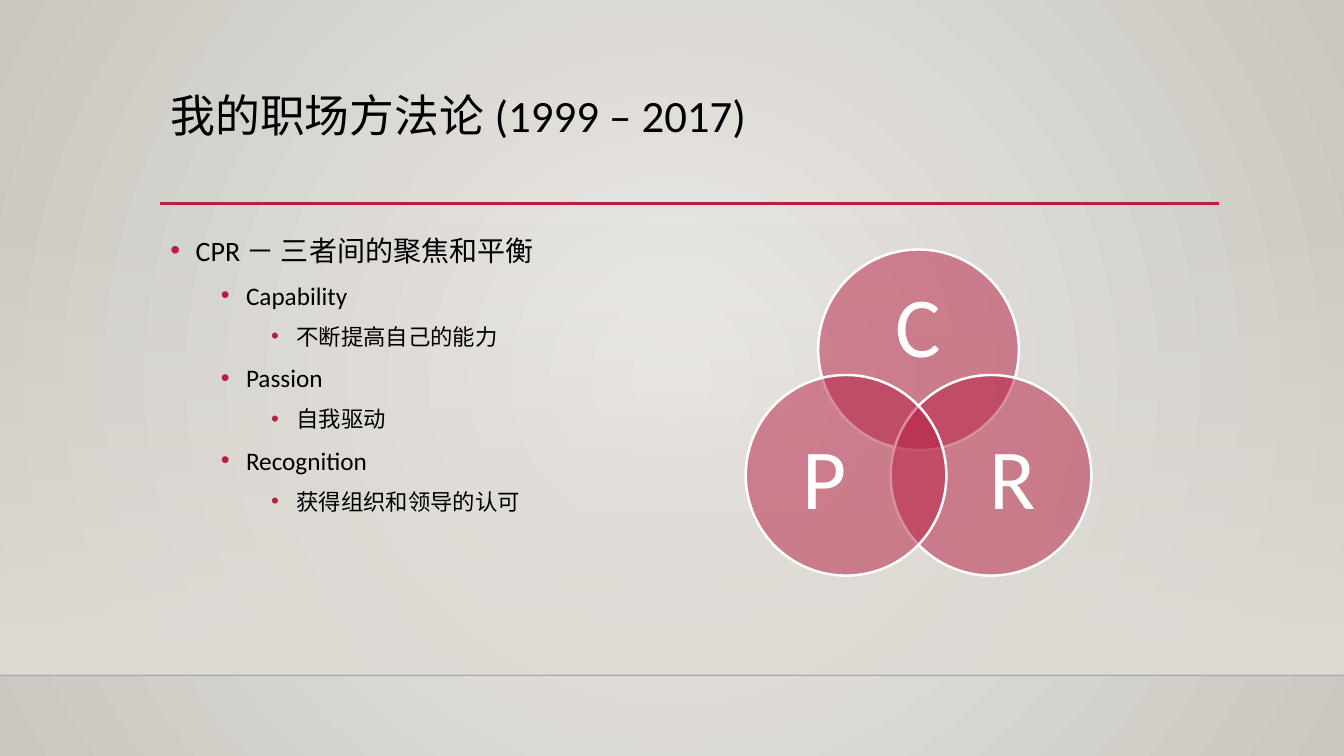
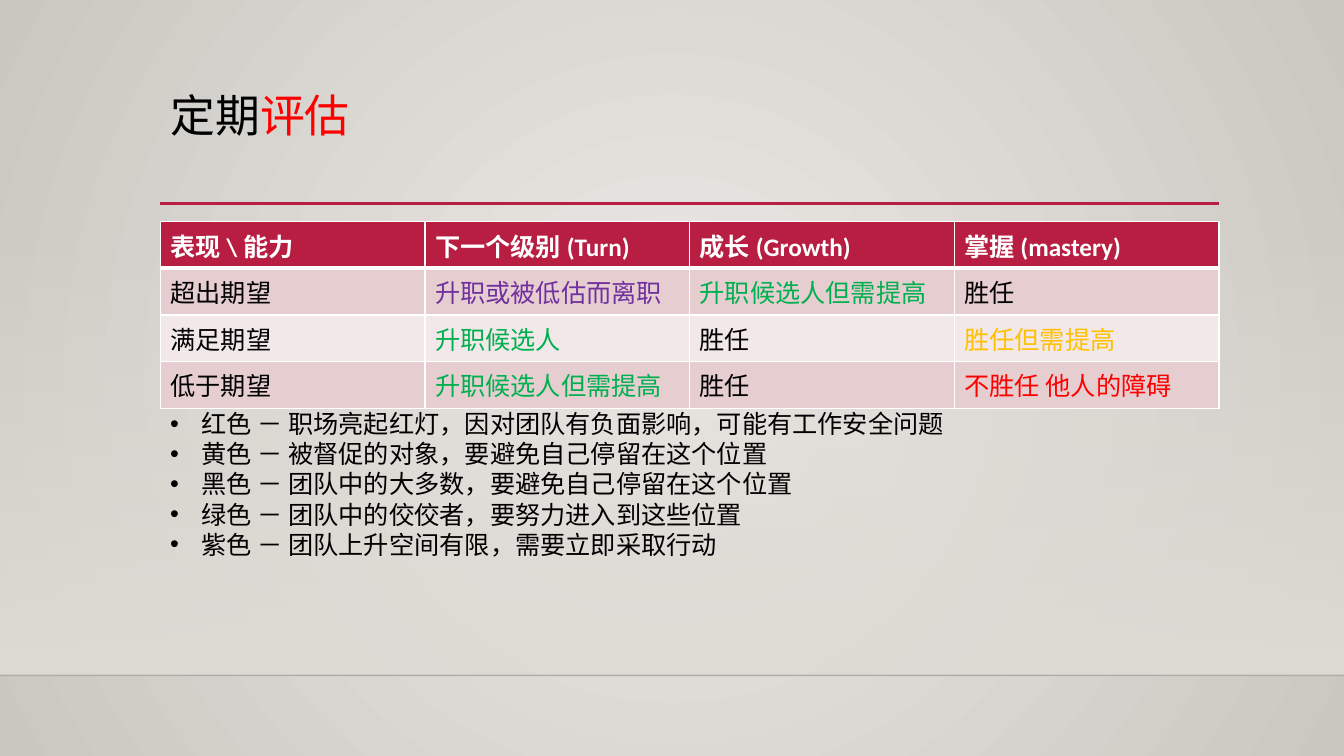
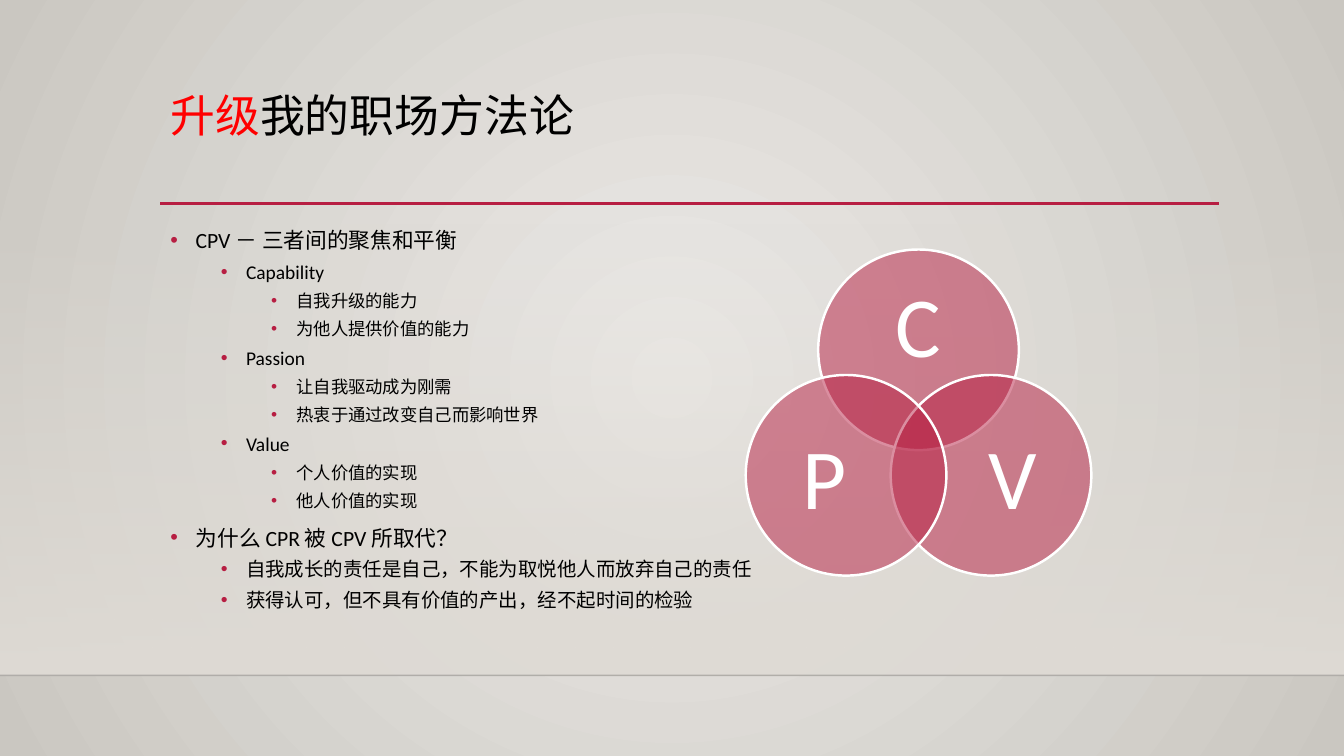
"""Builds three slides on a workplace method: CPR, regular review and CPV."""
from math import cos, radians, sin

from lxml.etree import SubElement
from pptx import Presentation
from pptx.dml.color import RGBColor
from pptx.enum.shapes import MSO_CONNECTOR, MSO_SHAPE
from pptx.enum.text import MSO_ANCHOR, MSO_AUTO_SIZE, PP_ALIGN
from pptx.oxml import parse_xml
from pptx.oxml.ns import nsdecls, qn
from pptx.util import Pt

PX = 9144
SLIDE_W, SLIDE_H = 1333, 750
LEFT, CONTENT_W, CONTENT_TOP = 159, 1050, 220
FLOOR_Y, RULE_Y = 670, 202
FONT = "Calibri"
COLORS = {
    "accent": "B71E42", "ink": "000000", "white": "FFFFFF", "red": "FF0000",
    "purple": "7030A0", "green": "00B050", "yellow": "FFC000",
    "stripe": "E6CDCF", "pale": "F3E8E9", "floor": "000001",
    "glow": "ECEAE7", "edge": "CAC7C1", "wall": "DFDBD5",
}

CPR = {
    "title": [("我的职场方法论 (1999 – 2017)", "ink")],
    "box": (LEFT, CONTENT_TOP, CONTENT_W, 377),
    "sizes": (20, 18, 16),
    "line_spacing": 1.2,
    "points": [
        (0, "CPR － 三者间的聚焦和平衡"),
        (1, "Capability"),
        (2, "不断提高自己的能力"),
        (1, "Passion"),
        (2, "自我驱动"),
        (1, "Recognition"),
        (2, "获得组织和领导的认可"),
    ],
    "letters": "CRP",
}
REVIEW = {
    "title": [("定期", "ink"), ("评估", "red")],
    "header": ["表现 \\ 能力", "下一个级别 (Turn)", "成长 (Growth)", "掌握 (mastery)"],
    "rows": [
        [("超出期望", "ink"), ("升职或被低估而离职", "purple"),
         ("升职候选人但需提高", "green"), ("胜任", "ink")],
        [("满足期望", "ink"), ("升职候选人", "green"),
         ("胜任", "ink"), ("胜任但需提高", "yellow")],
        [("低于期望", "ink"), ("升职候选人但需提高", "green"),
         ("胜任", "ink"), ("不胜任 他人的障碍", "red")],
    ],
    "legend": [
        "红色 － 职场亮起红灯，因对团队有负面影响，可能有工作安全问题",
        "黄色 － 被督促的对象，要避免自己停留在这个位置",
        "黑色 － 团队中的大多数，要避免自己停留在这个位置",
        "绿色 － 团队中的佼佼者，要努力进入到这些位置",
        "紫色 － 团队上升空间有限，需要立即采取行动",
    ],
}
CPV = {
    "title": [("升级", "red"), ("我的职场方法论", "ink")],
    "box": (LEFT, CONTENT_TOP, 1067, 417),
    "sizes": (15.5, 13.9, 12.4),
    "line_spacing": 1.0,
    "points": [
        (0, "CPV － 三者间的聚焦和平衡"),
        (1, "Capability"),
        (2, "自我升级的能力"),
        (2, "为他人提供价值的能力"),
        (1, "Passion"),
        (2, "让自我驱动成为刚需"),
        (2, "热衷于通过改变自己而影响世界"),
        (1, "Value"),
        (2, "个人价值的实现"),
        (2, "他人价值的实现"),
        (0, "为什么 CPR 被 CPV 所取代？"),
        (1, "自我成长的责任是自己，不能为取悦他人而放弃自己的责任"),
        (1, "获得认可，但不具有价值的产出，经不起时间的检验"),
    ],
    "letters": "CVP",
}

VENN_X, VENN_Y, VENN_REACH, CIRCLE = 911, 430, 83, 199
VENN_PARTS = [
    (-90, (0, -103), (146, 89)),
    (30, (93, 48), (119, 109)),
    (150, (-93, 48), (119, 109)),
]


def emu(*lengths):
    return [round(length * PX) for length in lengths]


def rgb(color):
    return RGBColor.from_string(COLORS[color])


def style(paragraph, size, color, bold=False):
    for run in paragraph.runs:
        run.font.name, run.font.size, run.font.bold = FONT, Pt(size), bold
        run.font.color.rgb = rgb(color)


def bullet(paragraph, margin, hang, color):
    props = paragraph._p.get_or_add_pPr()
    props.set("marL", str(margin * PX))
    props.set("indent", str(-hang * PX))
    SubElement(SubElement(props, qn("a:buClr")), qn("a:srgbClr"), val=COLORS[color])
    SubElement(props, qn("a:buFont"), typeface="Arial")
    SubElement(props, qn("a:buChar"), char="•")


def fade(owner, percent):
    for color in owner.iter(qn("a:srgbClr")):
        SubElement(color, qn("a:alpha"), val=str(percent * 1000))


def gradient(owner, start, end, start_alpha, direction):
    fill = parse_xml(
        f'<a:gradFill {nsdecls("a")} rotWithShape="1"><a:gsLst>'
        f'<a:gs pos="0"><a:srgbClr val="{COLORS[start]}">'
        f'<a:alpha val="{start_alpha * 1000}"/></a:srgbClr></a:gs>'
        f'<a:gs pos="100000"><a:srgbClr val="{COLORS[end]}"/></a:gs>'
        f'</a:gsLst>{direction}</a:gradFill>')
    owner.replace(owner.find(qn("a:solidFill")), fill)


def add_rule(slide, left, right, y, color, width):
    rule = slide.shapes.add_connector(MSO_CONNECTOR.STRAIGHT, *emu(left, y, right, y))
    rule.line.color.rgb = rgb(color)
    rule.line.width = Pt(width)
    SubElement(rule.element.spPr, qn("a:effectLst"))
    return rule


def dress_master(master, slide):
    master.background.fill.solid()
    master.background.fill.fore_color.rgb = rgb("glow")
    gradient(master.element.find(".//" + qn("p:bgPr")), "glow", "edge", 100,
             '<a:path path="circle"><a:fillToRect l="50000" t="50000" '
             'r="50000" b="50000"/></a:path>')
    wall = slide.shapes.add_shape(
        MSO_SHAPE.RECTANGLE, *emu(0, 221, SLIDE_W, FLOOR_Y - 221))
    wall.shadow.inherit = False
    wall.line.fill.background()
    wall.fill.solid()
    wall.fill.fore_color.rgb = rgb("wall")
    gradient(wall.element.spPr, "wall", "wall", 0, '<a:lin ang="5400000" scaled="0"/>')
    floor = add_rule(slide, 0, SLIDE_W, FLOOR_Y, "floor", 1)
    fade(floor.element.spPr, 20)
    title_rule = add_rule(slide, LEFT, LEFT + CONTENT_W, RULE_Y, "accent", 2.5)
    for index, part in enumerate((wall, floor, title_rule)):
        part.element.find(".//" + qn("p:cNvPr")).set("id", str(20 + index))
        master.shapes.element.insert(2 + index, part.element)


def place(shape, box):
    shape.left, shape.top, shape.width, shape.height = emu(*box)


def fill_title(slide, segments):
    title = slide.shapes.title
    place(title, (LEFT, 88, CONTENT_W, 115))
    frame = title.text_frame
    frame.vertical_anchor = MSO_ANCHOR.TOP
    frame.auto_size = MSO_AUTO_SIZE.NONE
    heading = frame.paragraphs[0]
    heading.alignment = PP_ALIGN.LEFT
    heading.line_spacing = 0.9
    for words, _ in segments:
        heading.add_run().text = words
    style(heading, 32, "ink")
    for run, (_, color) in zip(heading.runs, segments):
        run.font.color.rgb = rgb(color)


def fill_points(slide, content):
    body = slide.placeholders[1]
    place(body, content["box"])
    frame = body.text_frame
    frame.auto_size = MSO_AUTO_SIZE.NONE
    frame.text = "\n".join(words for _, words in content["points"])
    for point, (level, _) in zip(frame.paragraphs, content["points"]):
        point.level = level
        point.line_spacing = content["line_spacing"]
        point.space_before = Pt(5 if level else 10)
        bullet(point, 25 + 50 * level, 25, "accent")
        style(point, content["sizes"][level], "ink")


def add_venn(slide, letters):
    for letter, (angle, (dx, dy), (width, height)) in zip(letters, VENN_PARTS):
        x = VENN_X + VENN_REACH * cos(radians(angle))
        y = VENN_Y + VENN_REACH * sin(radians(angle))
        circle = slide.shapes.add_shape(
            MSO_SHAPE.OVAL, *emu(x - CIRCLE / 2, y - CIRCLE / 2, CIRCLE, CIRCLE))
        circle.shadow.inherit = False
        circle.fill.solid()
        circle.fill.fore_color.rgb = rgb("accent")
        fade(circle.element.spPr, 50)
        circle.line.color.rgb = rgb("white")
        circle.line.width = Pt(1.75)
        label = slide.shapes.add_textbox(
            *emu(VENN_X + dx - width / 2, VENN_Y + dy - height / 2, width, height))
        frame = label.text_frame
        frame.word_wrap = True
        frame.vertical_anchor = MSO_ANCHOR.MIDDLE
        frame.margin_left = frame.margin_right = frame.margin_top = frame.margin_bottom = 0
        frame.text = letter
        initial = frame.paragraphs[0]
        initial.alignment = PP_ALIGN.CENTER
        initial.line_spacing = 0.9
        style(initial, 61, "white")


def add_borders(cell, bottom, top):
    props = cell._tc.get_or_add_tcPr()
    widths = {"lnL": 1, "lnR": 1, "lnT": top, "lnB": bottom}
    for index, (side, width) in enumerate(widths.items()):
        props.insert(index, parse_xml(
            f'<a:{side} {nsdecls("a")} w="{Pt(width)}"><a:solidFill>'
            f'<a:srgbClr val="{COLORS["white"]}"/></a:solidFill></a:{side}>'))


def add_review_table(slide, header, rows):
    grid = [[(words, "white") for words in header]] + rows
    row_h = 41
    table = slide.shapes.add_table(
        len(grid), len(header),
        *emu(LEFT, CONTENT_TOP, CONTENT_W, row_h * len(grid))).table
    for row_index, row in enumerate(grid):
        table.rows[row_index].height = row_h * PX
        is_header = row_index == 0
        fill = "accent" if is_header else ("pale", "stripe")[row_index % 2]
        for column, (words, color) in enumerate(row):
            cell = table.cell(row_index, column)
            cell.text = words
            cell.fill.solid()
            cell.fill.fore_color.rgb = rgb(fill)
            add_borders(cell, 3 if is_header else 1, 3 if row_index == 1 else 1)
            style(cell.text_frame.paragraphs[0], 18, color, is_header)


def add_legend(slide, lines):
    frame = slide.shapes.add_textbox(*emu(LEFT, 400, 943, 162)).text_frame
    frame.word_wrap = True
    frame.text = "\n".join(lines)
    for line in frame.paragraphs:
        bullet(line, 31, 31, "ink")
        style(line, 18, "ink")


def main():
    prs = Presentation()
    prs.slide_width, prs.slide_height = emu(SLIDE_W, SLIDE_H)
    for content in (CPR, REVIEW, CPV):
        has_points = "points" in content
        slide = prs.slides.add_slide(prs.slide_layouts[1 if has_points else 5])
        if content is CPR:
            dress_master(prs.slide_master, slide)
        fill_title(slide, content["title"])
        if has_points:
            fill_points(slide, content)
            add_venn(slide, content["letters"])
        else:
            add_review_table(slide, content["header"], content["rows"])
            add_legend(slide, content["legend"])
    prs.save("out.pptx")


if __name__ == "__main__":
    main()
